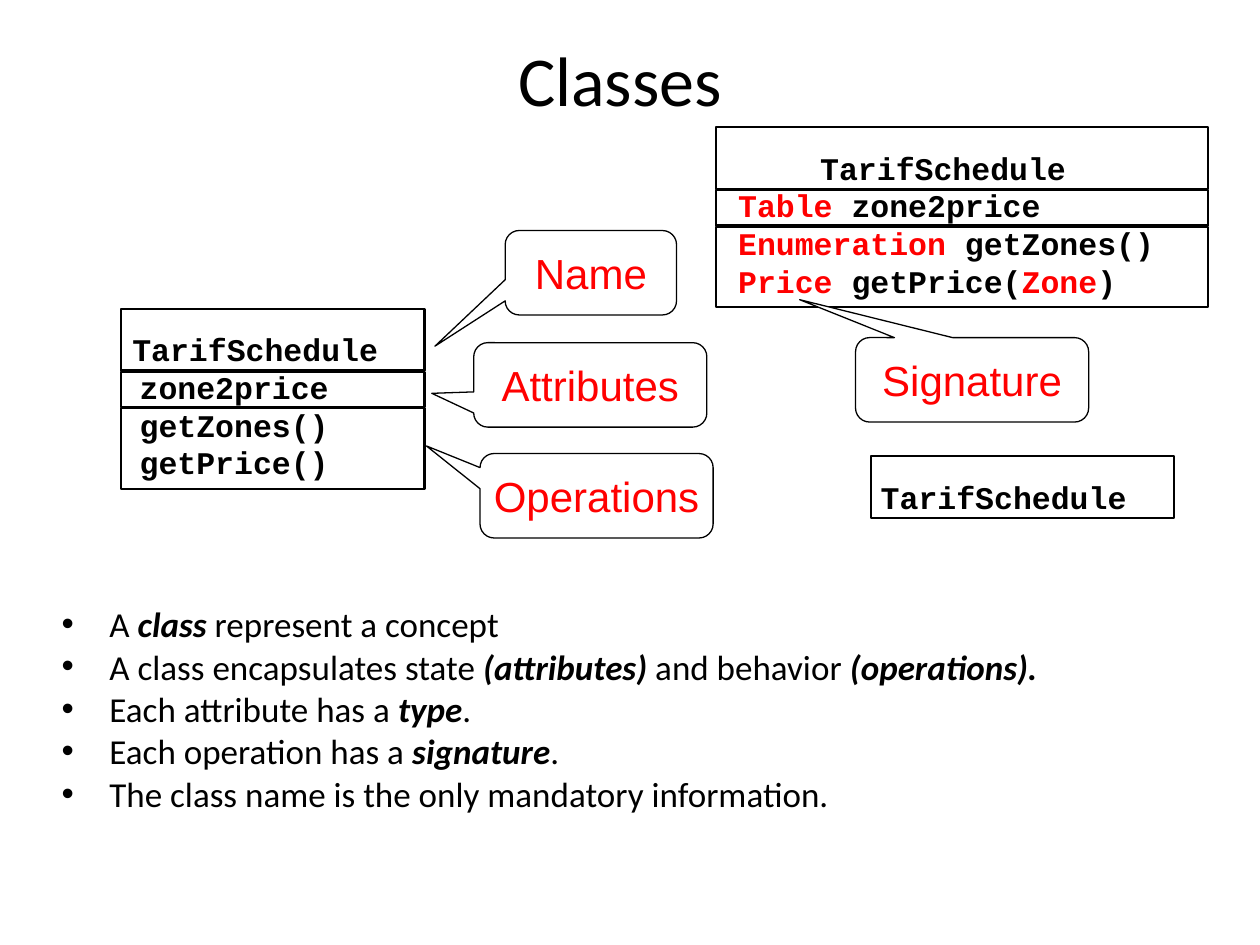
from lxml import etree
from pptx import Presentation
from pptx import util as u
from pptx.dml.color import RGBColor
from pptx.enum import shapes, text
from pptx.oxml.ns import qn

BLACK = RGBColor(0, 0, 0)
RED = RGBColor(255, 0, 0)
WHITE = RGBColor(255, 255, 255)


def write(box, lines, font, size, color=BLACK, bold=None, accent=None, center=False,
          wrap=True, margins=(0.1, 0.05), anchor=text.MSO_ANCHOR.TOP, bullets=False):
    frame = box.text_frame
    frame.word_wrap = wrap
    frame.auto_size = text.MSO_AUTO_SIZE.NONE
    frame.vertical_anchor = anchor
    frame.margin_left = frame.margin_right = u.Inches(margins[0])
    frame.margin_top = frame.margin_bottom = u.Inches(margins[1])
    for number, line in enumerate(lines):
        para = frame.add_paragraph() if number else frame.paragraphs[0]
        para.alignment = text.PP_ALIGN.CENTER if center else text.PP_ALIGN.LEFT
        if bullets:
            para.line_spacing = 0.8
            para.space_before = u.Pt(5)
            properties = para._p.get_or_add_pPr()
            properties.set("marL", str(u.Inches(0.38)))
            properties.set("indent", str(u.Inches(-0.38)))
            etree.SubElement(properties, qn("a:buFont"), typeface="Arial")
            etree.SubElement(properties, qn("a:buChar"), char="•")
        for position, piece in enumerate(line.split("*")):
            if not piece:
                continue
            marked = position % 2 == 1
            span = para.add_run()
            span.text = piece
            span.font.name = font
            span.font.size = u.Pt(size)
            span.font.bold = True if marked else bold
            span.font.italic = True if marked and accent is None else None
            span.font.color.rgb = accent if marked and accent is not None else color


deck = Presentation()
deck.slide_width = u.Inches(10)
deck.slide_height = u.Inches(7.5)
page = deck.slides.add_slide(deck.slide_layouts[5])

title = page.shapes.title
title.left, title.top = u.Inches(0.46), u.Inches(0.24)
title.width, title.height = u.Inches(8.92), u.Inches(0.77)
write(title, ["Classes"], font="Calibri", size=40, center=True, anchor=text.MSO_ANCHOR.MIDDLE)

body = page.shapes.add_textbox(u.Inches(0.39), u.Inches(4.8), u.Inches(9.03), u.Inches(2))
write(body, [
    "A *class* represent a concept",
    "A class encapsulates state *(attributes)* and behavior *(operations).*",
    "Each attribute has a *type*.",
    "Each operation has a *signature*.",
    "The class name is the only mandatory information.",
], font="Calibri", size=20, bullets=True)

class_boxes = [
    (0.96, 2.45, 2.41, 0.09, 0.05, ["zone2price", "getZones()", "getPrice()"]),
    (5.68, 1.01, 3.91, 0.83, 0.08, ["*Table* zone2price", "*Enumeration* getZones()",
                                    "*Price* getPrice(*Zone*)"]),
    (6.91, 3.62, 2.41, 0.08, 0, []),
]
compartments = [(0, 0.49), (0.5, 0.28), (0.79, 0.64)]
for left, top, width, name_indent, member_indent, members in class_boxes:
    group = page.shapes.add_group_shape()
    if members:
        member_box = group.shapes.add_textbox(u.Inches(left + member_indent), u.Inches(top + 0.42),
                                              u.Inches(width), u.Inches(1))
        write(member_box, members, font="Courier New", size=18, bold=True, accent=RED)
    for offset, height in compartments if members else compartments[:1]:
        compartment = group.shapes.add_shape(
            shapes.MSO_SHAPE.RECTANGLE, u.Inches(left), u.Inches(top + offset),
            u.Inches(width), u.Inches(height))
        compartment.shadow.inherit = False
        compartment.fill.background()
        compartment.line.color.rgb = BLACK
        compartment.line.width = u.Pt(1.25)
    name_box = group.shapes.add_textbox(u.Inches(left + name_indent), u.Inches(top + 0.17),
                                        u.Inches(1.95), u.Inches(0.3))
    write(name_box, ["TarifSchedule"], font="Courier New", size=18, bold=True, center=True,
          wrap=False, margins=(0, 0))

callouts = [
    ("Name", 4.01, 1.83, 1.36, -0.91, 0.87),
    ("Attributes", 3.76, 2.72, 1.85, -0.68, 0.1),
    ("Operations", 3.81, 3.6, 1.85, -0.73, -0.59),
    ("Signature", 6.79, 2.68, 1.85, -0.74, -0.95),
]
for label, left, top, width, tip_x, tip_y in callouts:
    callout = page.shapes.add_shape(
        shapes.MSO_SHAPE.ROUNDED_RECTANGULAR_CALLOUT, u.Inches(left), u.Inches(top),
        u.Inches(width), u.Inches(0.67))
    callout.adjustments[0] = tip_x
    callout.adjustments[1] = tip_y
    callout.shadow.inherit = False
    callout.fill.solid()
    callout.fill.fore_color.rgb = WHITE
    callout.line.color.rgb = BLACK
    callout.line.width = u.Pt(0.75)
    write(callout, [label], font="Arial", size=24, color=RED, center=True, wrap=False,
          anchor=text.MSO_ANCHOR.MIDDLE)

deck.save("out.pptx")
